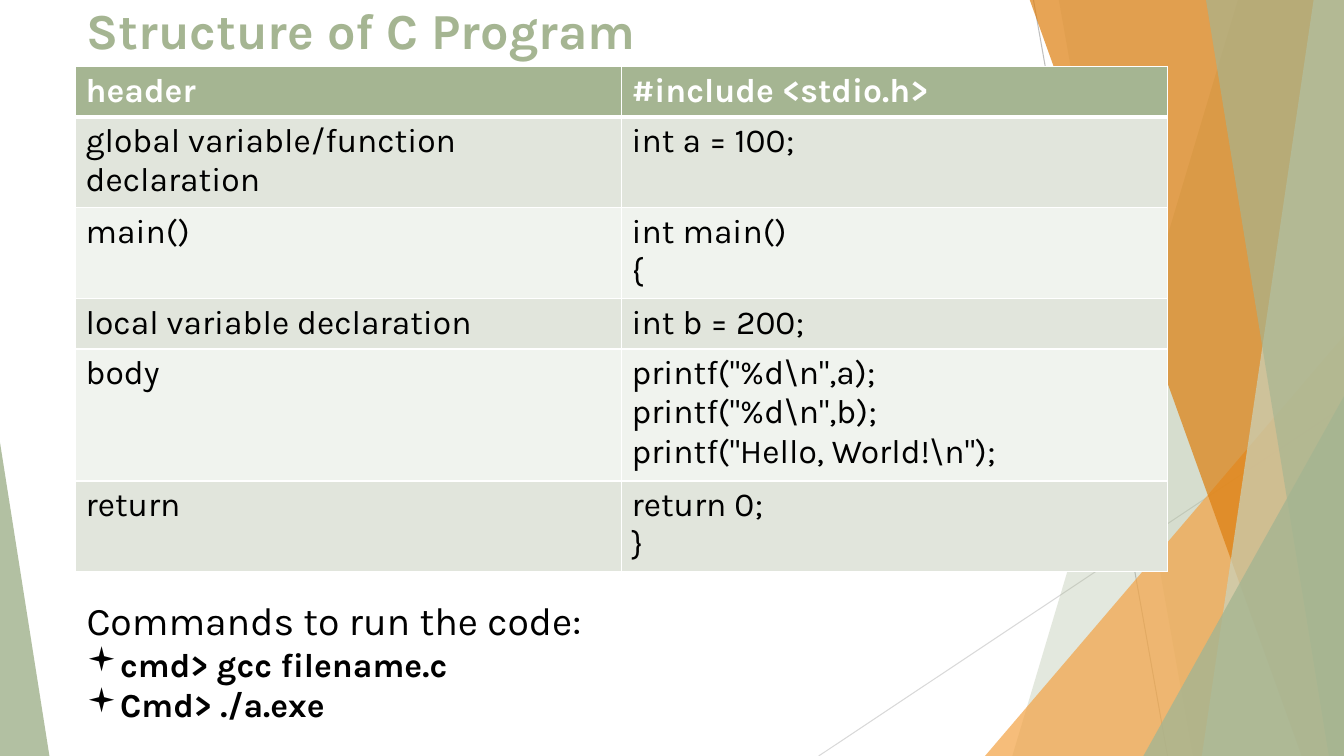
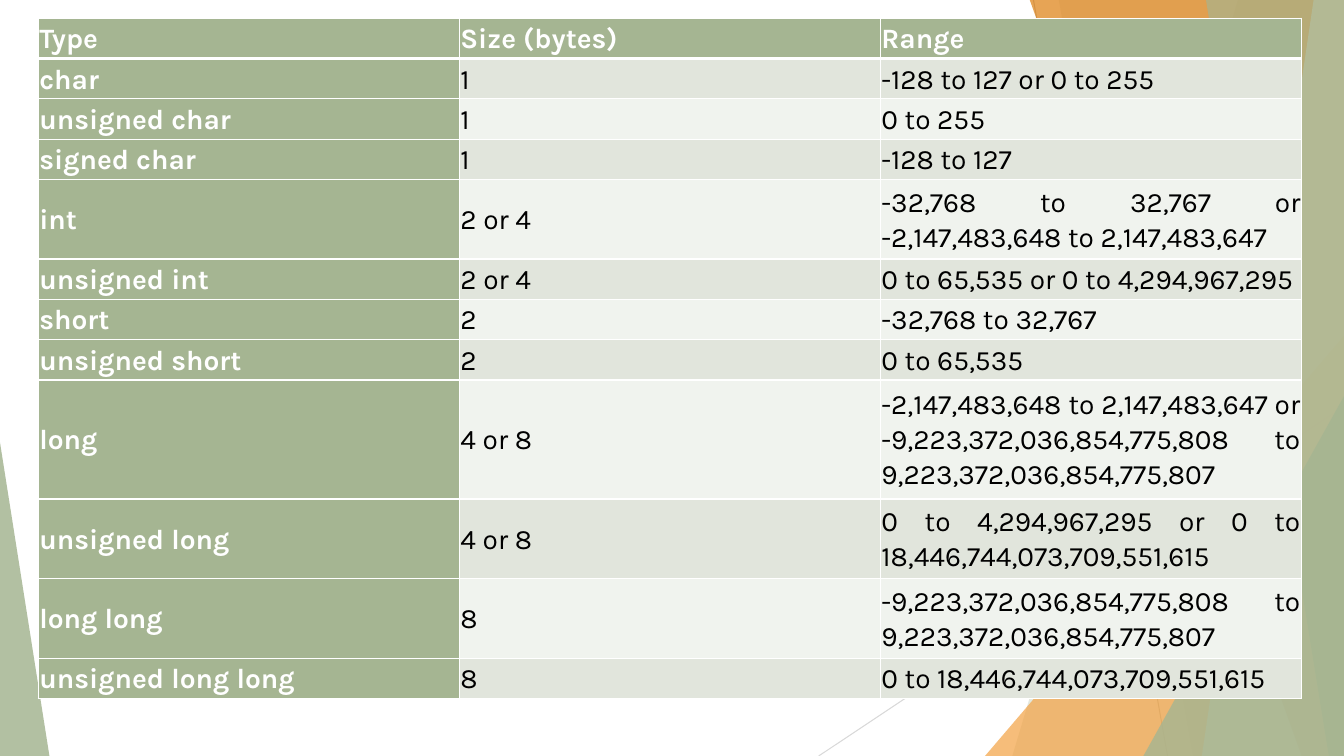
from lxml import etree
from pptx import Presentation
from pptx.dml.color import RGBColor
from pptx.enum.shapes import MSO_CONNECTOR, MSO_SHAPE
from pptx.enum.text import MSO_ANCHOR, PP_ALIGN
from pptx.oxml.ns import qn
from pptx.util import Inches, Pt

LINE = MSO_CONNECTOR.STRAIGHT
TRIANGLE = MSO_SHAPE.ISOSCELES_TRIANGLE
MIDDLE = MSO_ANCHOR.MIDDLE
LEFT, JUSTIFY = PP_ALIGN.LEFT, PP_ALIGN.JUSTIFY

WIDE, HIGH = 13.33, 7.5
FONT = "Karla"
SAGE, PALE, AMBER, RUST = "A5B592", "C9D3BE", "F3A447", "DD7E0E"
WHITE, BLACK = "FFFFFF", "000000"
BANDS = "E1E5DC", "F0F3EE"

# Backdrop: lines are (from, to, colour)
RULES = [
    ((10.25, 0), (11.58, HIGH), "BFBFBF"),
    ((WIDE, 4.03), (8.12, HIGH), "D9D9D9"),
]
# Panels run to the right edge: (top x, bottom x, colour, opacity)
# Wedges are triangles: (left, top, width, peak, colour, opacity)
FACETS = [
    (12.28, 10.04, SAGE, 30),
    (10.5, 11.83, SAGE, 20),
    (9.77, 3.33, 3.56, 1, AMBER, 72),
    (10.21, 12.91, RUST, 70),
    (13.03, 11.92, PALE, 70),
    (11.96, 13.18, SAGE, 65),
    (11.34, 3.93, 1.99, 1, SAGE, 80),
    (0, 4.39, 0.49, 0, SAGE, 85),
]

PARTS = [
    ("header", "#include <stdio.h>"),
    ("global variable/function declaration", "int a = 100;"),
    ("main()", "int main()\n{"),
    ("local variable declaration", "int b = 200;"),
    ("body", 'printf("%d\\n",a);\nprintf("%d\\n",b);\n'
             'printf("Hello, World!\\n");'),
    ("return", "return 0;\n}"),
]
PART_ROWS = [0.5, 0.9, 0.9, 0.5, 1.31, 0.9]

TYPES = [
    ("Type", "Size (bytes)", "Range"),
    ("char", "1", "-128 to 127 or 0 to 255"),
    ("unsigned char", "1", "0 to 255"),
    ("signed char", "1", "-128 to 127"),
    ("int", "2 or 4", "-32,768 to 32,767 or -2,147,483,648 to 2,147,483,647"),
    ("unsigned int", "2 or 4", "0 to 65,535 or 0 to 4,294,967,295"),
    ("short", "2", "-32,768 to 32,767"),
    ("unsigned short", "2", "0 to 65,535"),
    ("long", "4 or 8", "-2,147,483,648 to 2,147,483,647 or "
     "-9,223,372,036,854,775,808 to 9,223,372,036,854,775,807"),
    ("unsigned long", "4 or 8",
     "0 to 4,294,967,295 or 0 to 18,446,744,073,709,551,615"),
    ("long long", "8",
     "-9,223,372,036,854,775,808 to 9,223,372,036,854,775,807"),
    ("unsigned long long", "8", "0 to 18,446,744,073,709,551,615"),
]
TYPE_ROWS = [0.4] * 4 + [0.79] + [0.4] * 3 + [1.18, 0.79, 0.79, 0.4]


def color(code):
    return RGBColor.from_string(code)


def inches(*sizes):
    return [Inches(size) for size in sizes]


class Deck:
    def __init__(self):
        self.prs = Presentation()
        self.prs.slide_width, self.prs.slide_height = inches(WIDE, HIGH)

    def start(self):
        """Add a slide with the shared backdrop."""
        self.slide = self.prs.slides.add_slide(self.prs.slide_layouts[6])
        self.shapes = self.slide.shapes
        for rule in RULES:
            self.rule(*rule)
        for facet in FACETS:
            draw = self.panel if len(facet) == 4 else self.wedge
            draw(*facet)

    def rule(self, tail, head, code):
        line = self.shapes.add_connector(LINE, *inches(*tail, *head))
        line.line.color.rgb = color(code)
        line.line.width = Pt(0.75)
        etree.SubElement(line.element.spPr, qn("a:effectLst"))

    def panel(self, top, base, code, alpha):
        pen = self.shapes.build_freeform(*inches(top, -0.01))
        ends = (WIDE, -0.01), (WIDE, HIGH), (base, HIGH)
        pen.add_line_segments([inches(*end) for end in ends], close=True)
        self.paint(pen.convert_to_shape(), code, alpha)

    def wedge(self, left, top, width, peak, code, alpha):
        box = inches(left, top, width, HIGH - top)
        shape = self.shapes.add_shape(TRIANGLE, *box)
        shape.adjustments[0] = peak
        self.paint(shape, code, alpha)

    def paint(self, shape, code, alpha):
        shape.shadow.inherit = False
        shape.line.fill.background()
        shape.fill.solid()
        shape.fill.fore_color.rgb = color(code)
        tint = shape.element.spPr.find(".//" + qn("a:srgbClr"))
        etree.SubElement(tint, qn("a:alpha"), val=str(alpha * 1000))

    def style(self, para, size, code, bold):
        font = para.font
        font.name, font.size, font.bold = FONT, Pt(size), bold
        font.color.rgb = color(code)

    def text(self, box, lines):
        """Lines are (text, size, colour, bold, bullet)."""
        frame = self.shapes.add_textbox(*inches(*box)).text_frame
        frame.word_wrap = True
        frame.text = "\n".join(line[0] for line in lines)
        for para, (_, size, code, bold, mark) in zip(frame.paragraphs, lines):
            self.style(para, size, code, bold)
            if mark:
                self.bullet(para, mark)
        return frame

    def bullet(self, para, mark):
        props = para._p.get_or_add_pPr()
        dent = Inches(0.31)
        props.set("marL", str(dent))
        props.set("indent", str(-dent))
        props.insert(0, etree.Element(qn("a:buFont"), typeface="Wingdings"))
        props.insert(1, etree.Element(qn("a:buChar"), char=mark))

    def title(self, words):
        line = words, 36, SAGE, True, None
        frame = self.text((0.76, 0, 9.4, 0.58), [line])
        frame.margin_top = frame.margin_bottom = 0
        frame.vertical_anchor = MIDDLE

    def table(self, left, top, width, rows, tall, size, tight=False):
        """A tight table has thin margins and a filled first column."""
        count = len(rows[0])
        box = inches(left, top, width, sum(tall))
        grid = self.shapes.add_table(len(rows), count, *box).table
        for col in grid.columns:
            col.width = Inches(width / count)
        for y, (row, high) in enumerate(zip(rows, tall)):
            grid.rows[y].height = Inches(high)
            for x, words in enumerate(row):
                cell = grid.cell(y, x)
                head = y == 0 or (tight and x == 0)
                self.edge(cell, y)
                cell.fill.solid()
                cell.fill.fore_color.rgb = color(
                    SAGE if head else BANDS[(y - 1) % 2])
                cell.text = words
                if tight:
                    self.squeeze(cell)
                for para in cell.text_frame.paragraphs:
                    self.style(para, size, WHITE if head else BLACK, head)
                    para.alignment = JUSTIFY if tight else LEFT

    def squeeze(self, cell):
        cell.vertical_anchor = MIDDLE
        cell.margin_left = cell.margin_right = Inches(0.01)
        cell.margin_top = cell.margin_bottom = Inches(0.01)
        for para in cell.text_frame.paragraphs:
            para.line_spacing, para.space_after = 1.07, Pt(8)

    def edge(self, cell, row):
        """White borders, thick under the header row."""
        props = cell._tc.get_or_add_tcPr()
        for side in "LRTB":
            thick = (row, side) in ((0, "B"), (1, "T"))
            line = etree.SubElement(props, qn("a:ln" + side),
                                    w=str(Pt(3 if thick else 1)))
            fill = etree.SubElement(line, qn("a:solidFill"))
            etree.SubElement(fill, qn("a:srgbClr"), val=WHITE)


def main():
    deck = Deck()

    # Program structure
    deck.start()
    deck.title("Structure of C Program")
    deck.table(0.75, 0.66, 10.83, PARTS, PART_ROWS, 24)
    deck.text((0.76, 5.87, 7.99, 1.38), [
        ("Commands to run the code:", 28, BLACK, False, None),
        ("cmd> gcc filename.c", 24, BLACK, True, "▪"),
        ("Cmd> ./a.exe", 24, BLACK, True, "▪"),
    ])

    # Data types
    deck.start()
    deck.table(0.38, 0.18, 12.53, TYPES, TYPE_ROWS, 20, tight=True)

    deck.prs.save("out.pptx")


if __name__ == "__main__":
    main()
